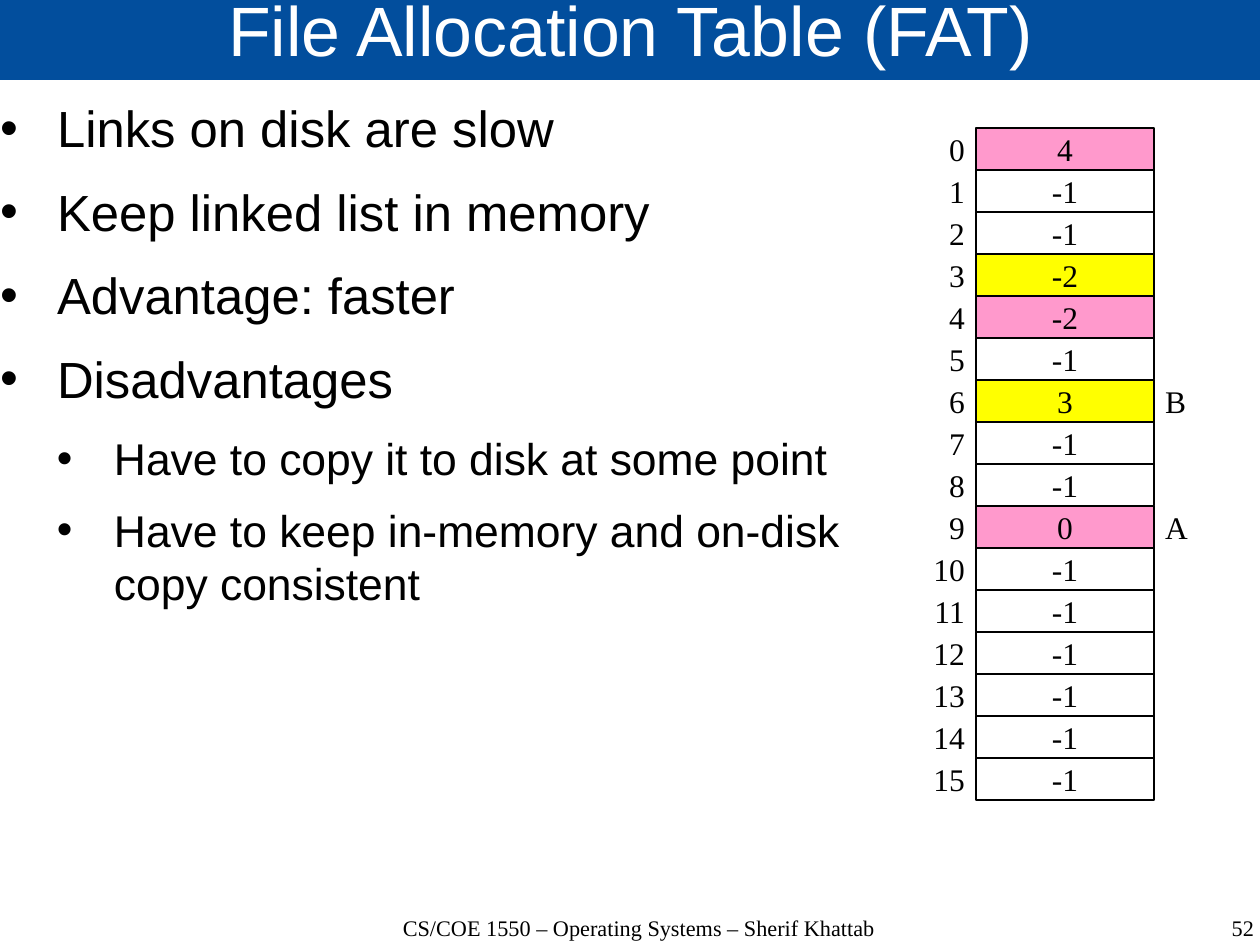
from typing import NamedTuple, Optional

from lxml.etree import SubElement
from pptx import Presentation
from pptx.dml.color import RGBColor
from pptx.enum.shapes import MSO_SHAPE
from pptx.enum.text import MSO_ANCHOR, MSO_AUTO_SIZE, PP_ALIGN
from pptx.oxml.ns import qn
from pptx.shapes.base import BaseShape
from pptx.slide import Slide
from pptx.text.text import TextFrame, _Paragraph
from pptx.util import Emu, Pt

EMU_PER_PX = 8000
SLIDE_WIDTH, SLIDE_HEIGHT = 1260, 945

BLUE = RGBColor(0x02, 0x4E, 0x9D)
PINK = RGBColor(0xFF, 0x99, 0xCC)
YELLOW = RGBColor(0xFF, 0xFF, 0x00)
WHITE = RGBColor(0xFF, 0xFF, 0xFF)
BLACK = RGBColor(0x00, 0x00, 0x00)

SANS, SERIF = "Arial", "Times New Roman"


class Box(NamedTuple):
    left: int
    top: int
    width: int
    height: int


class Bullet(NamedTuple):
    text: str
    level: int = 0


class BulletStyle(NamedTuple):
    size: float
    space_after: float


class FatEntry(NamedTuple):
    next_block: int
    fill: RGBColor = WHITE
    file_name: str = ""


class Footer(NamedTuple):
    text: str
    box: Box
    align: PP_ALIGN


BULLET_INDENT = 57
BULLET_STYLES = [BulletStyle(32, 14.2), BulletStyle(28, 11.4)]
BULLETS = [
    Bullet("Links on disk are slow"),
    Bullet("Keep linked list in memory"),
    Bullet("Advantage: faster"),
    Bullet("Disadvantages"),
    Bullet("Have to copy it to disk at some point", 1),
    Bullet("Have to keep in-memory and on-disk copy consistent", 1),
]

FREE = FatEntry(-1)
FAT = [
    FatEntry(4, PINK), FREE, FREE, FatEntry(-2, YELLOW),
    FatEntry(-2, PINK), FREE, FatEntry(3, YELLOW, "B"), FREE,
    FREE, FatEntry(0, PINK, "A"), FREE, FREE,
    FREE, FREE, FREE, FREE,
]
FAT_TOP, ROW_HEIGHT = 128, 42
SIDE_WIDTH, ENTRY_WIDTH = 84, 178
INDEX_LEFT = 892
ENTRY_LEFT = INDEX_LEFT + SIDE_WIDTH
FILE_NAME_LEFT = ENTRY_LEFT + ENTRY_WIDTH

FOOTERS = [
    Footer("CS/COE 1550 – Operating Systems – Sherif Khattab",
           Box(351, 916, 576, 29), PP_ALIGN.CENTER),
    Footer("52", Box(965, 916, 289, 29), PP_ALIGN.RIGHT),
]


def px(length: int) -> Emu:
    return Emu(length * EMU_PER_PX)


def place(shape: BaseShape, box: Box) -> None:
    shape.left, shape.top, shape.width, shape.height = map(px, box)


def prepare_frame(frame: TextFrame, anchor: MSO_ANCHOR) -> None:
    """Wrap text at a fixed size, with no margins."""
    frame.word_wrap = True
    frame.auto_size = MSO_AUTO_SIZE.NONE
    frame.vertical_anchor = anchor
    frame.margin_left = frame.margin_top = 0
    frame.margin_right = frame.margin_bottom = 0


def add_text(paragraph: _Paragraph, text: str, font: str, size: float,
             color: RGBColor = BLACK) -> None:
    run = paragraph.add_run()
    run.text = text
    run.font.name = font
    run.font.size = Pt(size)
    run.font.color.rgb = color


def add_bullet_mark(paragraph: _Paragraph, level: int) -> None:
    properties = paragraph._p.get_or_add_pPr()
    properties.set("marL", str(px(BULLET_INDENT * (level + 1))))
    properties.set("indent", str(-px(BULLET_INDENT)))
    color = SubElement(properties, qn("a:buClr"))
    SubElement(color, qn("a:srgbClr"), val=str(BLACK))
    SubElement(properties, qn("a:buFont"), typeface=SANS)
    SubElement(properties, qn("a:buChar"), char="•")


def fill_title(slide: Slide) -> None:
    title = slide.shapes.title
    place(title, Box(0, -2, 1262, 82))
    title.fill.solid()
    title.fill.fore_color.rgb = BLUE
    prepare_frame(title.text_frame, MSO_ANCHOR.MIDDLE)
    heading = title.text_frame.paragraphs[0]
    heading.alignment = PP_ALIGN.CENTER
    heading.line_spacing = 0.69
    add_text(heading, "File Allocation Table (FAT)", SANS, 44, WHITE)


def fill_body(slide: Slide) -> None:
    body = slide.placeholders[1]
    place(body, Box(0, 97, 892, 814))
    frame = body.text_frame
    prepare_frame(frame, MSO_ANCHOR.TOP)
    for number, bullet in enumerate(BULLETS):
        paragraph = frame.add_paragraph() if number else frame.paragraphs[0]
        style = BULLET_STYLES[bullet.level]
        paragraph.level = bullet.level
        add_bullet_mark(paragraph, bullet.level)
        paragraph.space_before = Pt(0)
        paragraph.space_after = Pt(style.space_after)
        add_text(paragraph, bullet.text, SANS, style.size)


def add_cell(slide: Slide, box: Box, text: str, align: PP_ALIGN,
             fill: RGBColor = WHITE, border: Optional[RGBColor] = None) -> None:
    cell = slide.shapes.add_shape(MSO_SHAPE.RECTANGLE, *map(px, box))
    cell.shadow.inherit = False
    cell.fill.solid()
    cell.fill.fore_color.rgb = fill
    if border is None:
        cell.line.fill.background()
    else:
        cell.line.color.rgb = border
        cell.line.width = Pt(0.75)
    cell.text_frame.word_wrap = False
    cell.text_frame.vertical_anchor = MSO_ANCHOR.MIDDLE
    paragraph = cell.text_frame.paragraphs[0]
    paragraph.alignment = align
    add_text(paragraph, text, SERIF, 19.8)


def add_fat(slide: Slide) -> None:
    for index, entry in enumerate(FAT):
        top = FAT_TOP + index * ROW_HEIGHT
        add_cell(slide, Box(INDEX_LEFT, top, SIDE_WIDTH, ROW_HEIGHT),
                 str(index), PP_ALIGN.RIGHT)
        if entry.file_name:
            add_cell(slide, Box(FILE_NAME_LEFT, top, SIDE_WIDTH, ROW_HEIGHT),
                     entry.file_name, PP_ALIGN.LEFT)
        add_cell(slide, Box(ENTRY_LEFT, top, ENTRY_WIDTH, ROW_HEIGHT),
                 str(entry.next_block), PP_ALIGN.CENTER, entry.fill, BLACK)


def add_footer(slide: Slide, footer: Footer) -> None:
    frame = slide.shapes.add_textbox(*map(px, footer.box)).text_frame
    prepare_frame(frame, MSO_ANCHOR.TOP)
    paragraph = frame.paragraphs[0]
    paragraph.alignment = footer.align
    paragraph.line_spacing = 0.96
    add_text(paragraph, footer.text, SERIF, 14)


def main() -> None:
    presentation = Presentation()
    presentation.slide_width = px(SLIDE_WIDTH)
    presentation.slide_height = px(SLIDE_HEIGHT)
    slide = presentation.slides.add_slide(presentation.slide_layouts[1])
    fill_title(slide)
    fill_body(slide)
    for footer in FOOTERS:
        add_footer(slide, footer)
    add_fat(slide)
    presentation.save("out.pptx")


if __name__ == "__main__":
    main()
